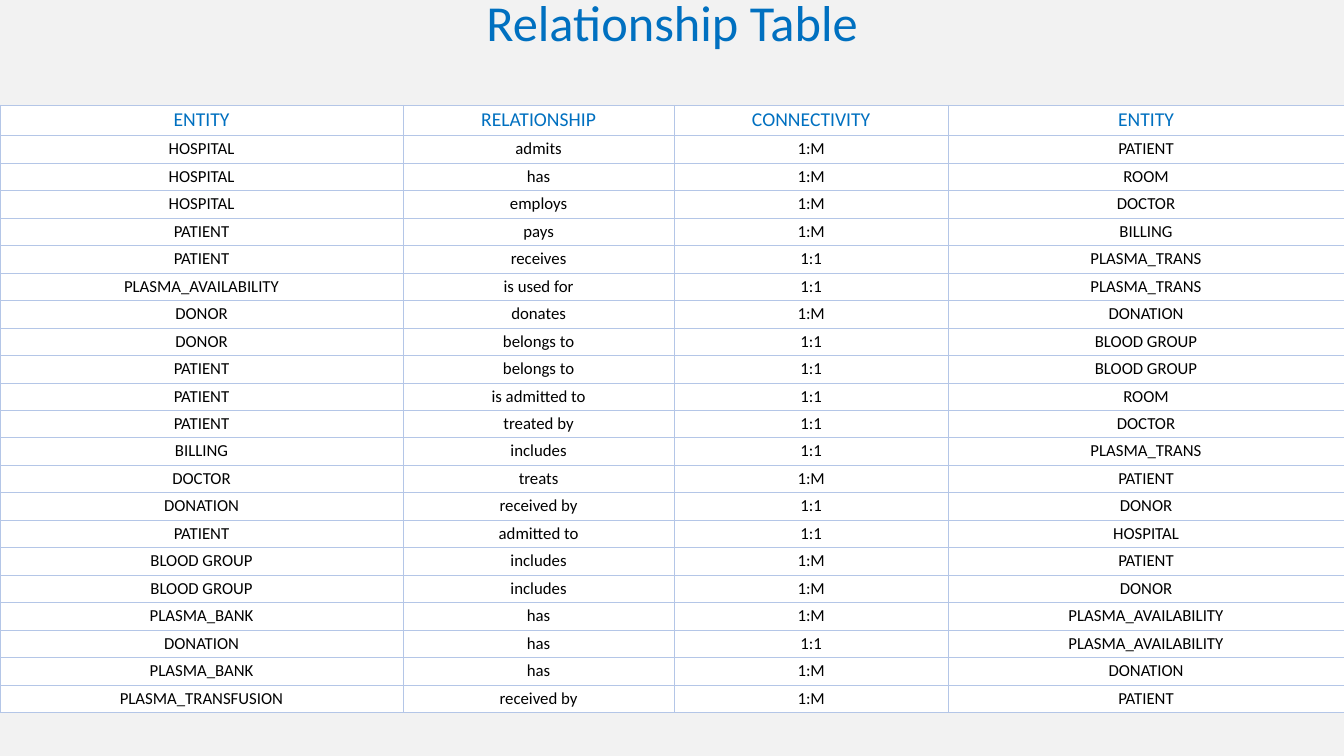
from lxml.etree import SubElement
from pptx import Presentation
from pptx.dml.color import RGBColor
from pptx.enum.text import MSO_ANCHOR, PP_ALIGN
from pptx.oxml.ns import qn
from pptx.util import Cm, Pt

FONT = "Calibri"
BLUE = RGBColor(0x00, 0x70, 0xC0)
BLACK = RGBColor(0x00, 0x00, 0x00)
WHITE = RGBColor(0xFF, 0xFF, 0xFF)
PALE_GREY = RGBColor(0xF2, 0xF2, 0xF2)
BORDER = RGBColor(0xB4, 0xC6, 0xE7)

COL_SHARES = (10.16, 6.83, 6.91, 9.97)
HEADER_HEIGHT = 0.77
HEADERS = ("ENTITY", "RELATIONSHIP", "CONNECTIVITY", "ENTITY")
RELATIONSHIPS = [
    ("HOSPITAL", "admits", "1:M", "PATIENT"),
    ("HOSPITAL", "has", "1:M", "ROOM"),
    ("HOSPITAL", "employs", "1:M", "DOCTOR"),
    ("PATIENT", "pays", "1:M", "BILLING"),
    ("PATIENT", "receives", "1:1", "PLASMA_TRANS"),
    ("PLASMA_AVAILABILITY", "is used for", "1:1", "PLASMA_TRANS"),
    ("DONOR", "donates", "1:M", "DONATION"),
    ("DONOR", "belongs to", "1:1", "BLOOD GROUP"),
    ("PATIENT", "belongs to", "1:1", "BLOOD GROUP"),
    ("PATIENT", "is admitted to", "1:1", "ROOM"),
    ("PATIENT", "treated by", "1:1", "DOCTOR"),
    ("BILLING", "includes", "1:1", "PLASMA_TRANS"),
    ("DOCTOR", "treats", "1:M", "PATIENT"),
    ("DONATION", "received by", "1:1", "DONOR"),
    ("PATIENT", "admitted to", "1:1", "HOSPITAL"),
    ("BLOOD GROUP", "includes", "1:M", "PATIENT"),
    ("BLOOD GROUP", "includes", "1:M", "DONOR"),
    ("PLASMA_BANK", "has", "1:M", "PLASMA_AVAILABILITY"),
    ("DONATION", "has", "1:1", "PLASMA_AVAILABILITY"),
    ("PLASMA_BANK", "has", "1:M", "DONATION"),
    ("PLASMA_TRANSFUSION", "received by", "1:M", "PATIENT"),
]


def add_run(p, text, size, color):
    p.alignment = PP_ALIGN.CENTER
    r = p.add_run()
    r.text = text
    r.font.name = FONT
    r.font.size = Pt(size)
    r.font.color.rgb = color


def add_title(s, text, left, top, width, height):
    tf = s.shapes.add_textbox(Cm(left), Cm(top), Cm(width), Cm(height)).text_frame
    tf.word_wrap = True
    tf.vertical_anchor = MSO_ANCHOR.MIDDLE
    p = tf.paragraphs[0]
    p.line_spacing = 0.9
    add_run(p, text, 36, BLUE)


def set_borders(cell):
    # Border lines must come before the fill in the cell properties
    tcPr = cell._tc.get_or_add_tcPr()
    for i, side in enumerate(("lnL", "lnR", "lnT", "lnB")):
        ln = SubElement(tcPr, qn(f"a:{side}"), w=str(Pt(0.5)))
        fill = SubElement(ln, qn("a:solidFill"))
        SubElement(fill, qn("a:srgbClr"), val=str(BORDER))
        tcPr.insert(i, ln)


def fill_cell(cell, text, size, color):
    cell.margin_left = cell.margin_right = Cm(0.13)
    cell.margin_top = cell.margin_bottom = Cm(0.08)
    cell.fill.solid()
    cell.fill.fore_color.rgb = WHITE
    set_borders(cell)
    p = cell.text_frame.paragraphs[0]
    p.space_before = Pt(10)
    add_run(p, text, size, color)


def add_relationship_table(s, left, top, width, height):
    rows = [HEADERS] + RELATIONSHIPS
    table = s.shapes.add_table(len(rows), len(HEADERS), Cm(left), Cm(top),
                               Cm(width), Cm(height)).table
    # Column widths and row heights fill the box
    for col, share in zip(table.columns, COL_SHARES):
        col.width = Cm(width * share / sum(COL_SHARES))
    row_height = (height - HEADER_HEIGHT) / len(RELATIONSHIPS)
    for i, values in enumerate(rows):
        table.rows[i].height = Cm(row_height if i else HEADER_HEIGHT)
        size, color = (12, BLACK) if i else (14, BLUE)
        for j, value in enumerate(values):
            fill_cell(table.cell(i, j), value, size, color)


def main():
    prs = Presentation()
    prs.slide_width, prs.slide_height = Cm(33.87), Cm(19.05)
    s = prs.slides.add_slide(prs.slide_layouts[6])
    s.background.fill.solid()
    s.background.fill.fore_color.rgb = PALE_GREY

    add_title(s, "Relationship Table", 11.35, 0.03, 11.18, 1.19)
    add_relationship_table(s, 0, 2.65, 33.87, 15.31)
    prs.save("out.pptx")


if __name__ == "__main__":
    main()
